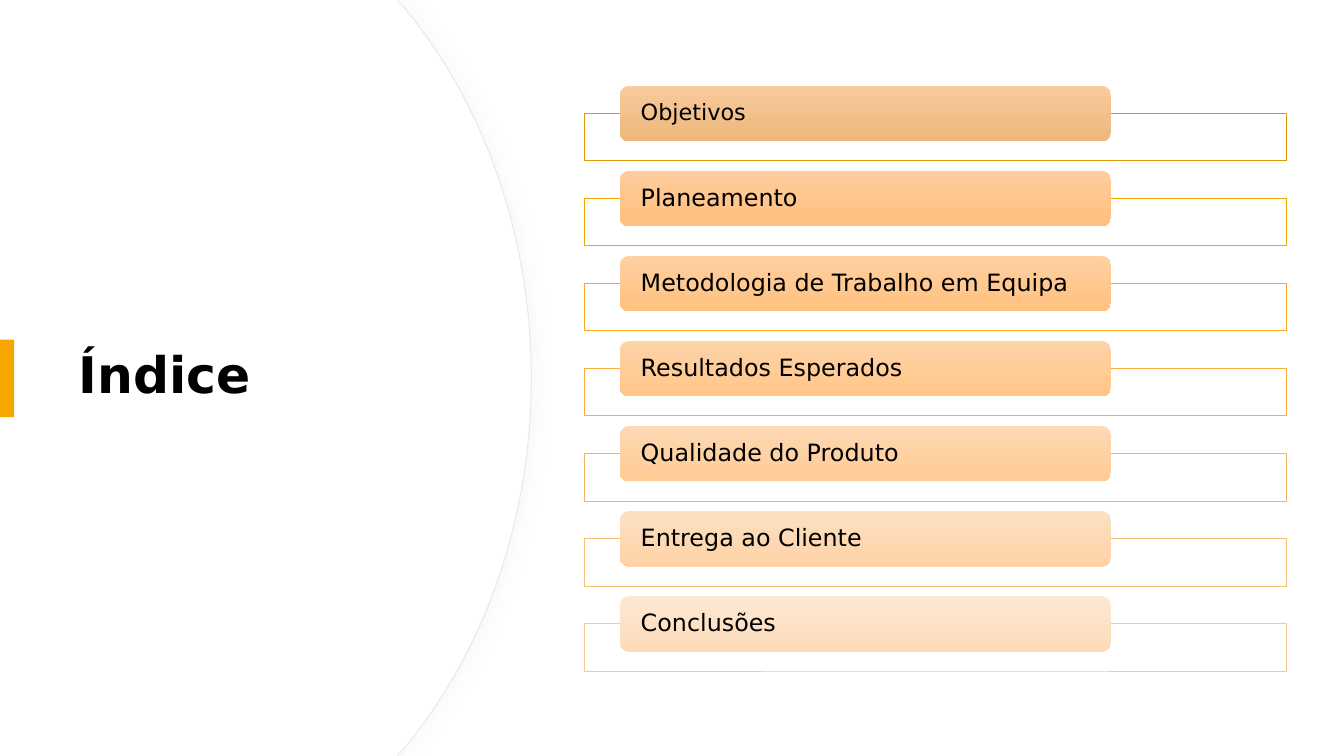
from dataclasses import dataclass

from lxml import etree
from pptx import Presentation
from pptx.dml.color import RGBColor
from pptx.enum import shapes, text
from pptx.oxml import ns
from pptx.util import Cm, Pt

HEADING = "Índice"
TOPICS = [
    ("Objetivos", 16, "DE9800", "F8CA9D", "EEB77C"),
    ("Planeamento", 17, "F9A303", "FFCD9E", "FFBE7C"),
    ("Metodologia de Trabalho em Equipa", 17, "FAA71E", "FFD0A1", "FFC17F"),
    ("Resultados Esperados", 17, "F9AD3D", "FED4A9", "FFC587"),
    ("Qualidade do Produto", 17, "F8B45B", "FDD9B4", "FFCB94"),
    ("Entrega ao Cliente", 17, "F8BD78", "FDE0C3", "FED2A6"),
    ("Conclusões", 17, "F8C795", "FDE8D3", "FDDBBA"),
]


@dataclass(frozen=True)
class Theme:
    font: str = "DejaVu Sans"
    ink: str = "000000"
    paper: str = "FFFFFF"
    edge: str = "E9E9E9"
    shadow: str = "D9D9D9"
    accent: str = "F5A700"
    heading_size: int = 36


THEME = Theme()
PAGE_WIDTH, PAGE_HEIGHT = 33.87, 19.05
ARC_UPPER = [(10.01, 0), (10.19, 0.2), (12.17, 2.59), (13.39, 5.89)]
ARC_TIP = (13.39, PAGE_HEIGHT / 2)
ARC_CURVES = (slice(2, 5), slice(5, 8))
FIRST_ROW, LAST_ROW = 2.16, 15.02
ROW_PITCH = (LAST_ROW - FIRST_ROW) / (len(TOPICS) - 1)
TAB_LEFT, TAB_WIDTH, TAB_HEIGHT = 15.62, 12.38, 1.4
FRAME_LEFT, FRAME_WIDTH, FRAME_HEIGHT = 14.73, 17.68, 1.19


def colour(value):
    return RGBColor.from_string(value)


def paint(shape, fill, line=None, width=0.75):
    shape.shadow.inherit = False
    shape.fill.solid()
    shape.fill.fore_color.rgb = colour(fill)
    if line:
        shape.line.color.rgb = colour(line)
        shape.line.width = Pt(width)
    else:
        shape.line.fill.background()


def add_block(page, kind, left, top, width, height):
    return page.shapes.add_shape(kind, Cm(left), Cm(top), Cm(width), Cm(height))


def write(shape, words, size, bold=False):
    box = shape.text_frame
    box.word_wrap = True
    box.vertical_anchor = text.MSO_ANCHOR.MIDDLE
    para = box.paragraphs[0]
    para.text = words
    para.alignment = text.PP_ALIGN.LEFT
    para.line_spacing = 0.9
    para.font.name = THEME.font
    para.font.size = Pt(size)
    para.font.bold = bold
    para.font.color.rgb = colour(THEME.ink)
    return box


def add_panel(page, inset, line=None):
    lower = [(x, PAGE_HEIGHT - y) for x, y in reversed(ARC_UPPER)]
    outline = [(Cm(x - inset), Cm(y)) for x, y in ARC_UPPER + [ARC_TIP] + lower]
    builder = page.shapes.build_freeform(0, 0)
    builder.add_line_segments(outline + [(0, Cm(PAGE_HEIGHT))], close=True)
    panel = builder.convert_to_shape()
    segments = list(panel.element.iter(ns.qn("a:lnTo")))
    for span in ARC_CURVES:
        first, *others = segments[span]
        curve = etree.Element(ns.qn("a:cubicBezTo"))
        first.addprevious(curve)
        for segment in (first, *others):
            curve.append(segment[0])
            segment.getparent().remove(segment)
    paint(panel, THEME.paper, line)
    return panel


def add_shadow(shape):
    effects = shape.element.spPr.find(ns.qn("a:effectLst"))
    shadow = etree.SubElement(effects, ns.qn("a:outerShdw"), blurRad=str(Pt(10)), dist=str(Pt(4)), dir="0")
    tint = etree.SubElement(shadow, ns.qn("a:srgbClr"), val=THEME.shadow)
    etree.SubElement(tint, ns.qn("a:alpha"), val="15000")


def add_topic(page, row, topic):
    words, size, line, light, dark = topic
    top = FIRST_ROW + row * ROW_PITCH
    frame = add_block(page, shapes.MSO_SHAPE.RECTANGLE, FRAME_LEFT, top + TAB_HEIGHT / 2, FRAME_WIDTH, FRAME_HEIGHT)
    paint(frame, THEME.paper, line, 0.5)
    tab = add_block(page, shapes.MSO_SHAPE.ROUNDED_RECTANGLE, TAB_LEFT, top, TAB_WIDTH, TAB_HEIGHT)
    paint(tab, light)
    tab.fill.gradient()
    tab.fill.gradient_angle = 270
    for stop, (position, value) in zip(tab.fill.gradient_stops, [(0, light), (1, dark)]):
        stop.position = position
        stop.color.rgb = colour(value)
    box = write(tab, words, size)
    box.margin_left = box.margin_right = Cm(0.46)
    box.margin_top = box.margin_bottom = 0


def main():
    deck = Presentation()
    deck.slide_width, deck.slide_height = Cm(PAGE_WIDTH), Cm(PAGE_HEIGHT)
    page = deck.slides.add_slide(deck.slide_layouts[5])

    add_shadow(add_panel(page, 0, THEME.edge))
    cover = add_panel(page, 0.03)
    title = page.shapes.title
    title.left, title.top, title.width, title.height = Cm(1.73), Cm(3.23), Cm(10), Cm(12.57)
    write(title, HEADING, THEME.heading_size, bold=True)
    cover.element.addnext(title.element)

    marker = add_block(page, shapes.MSO_SHAPE.RECTANGLE, 0, 8.56, 0.36, 1.95)
    paint(marker, THEME.accent)
    for row, topic in enumerate(TOPICS):
        add_topic(page, row, topic)
    deck.save("out.pptx")


if __name__ == "__main__":
    main()
